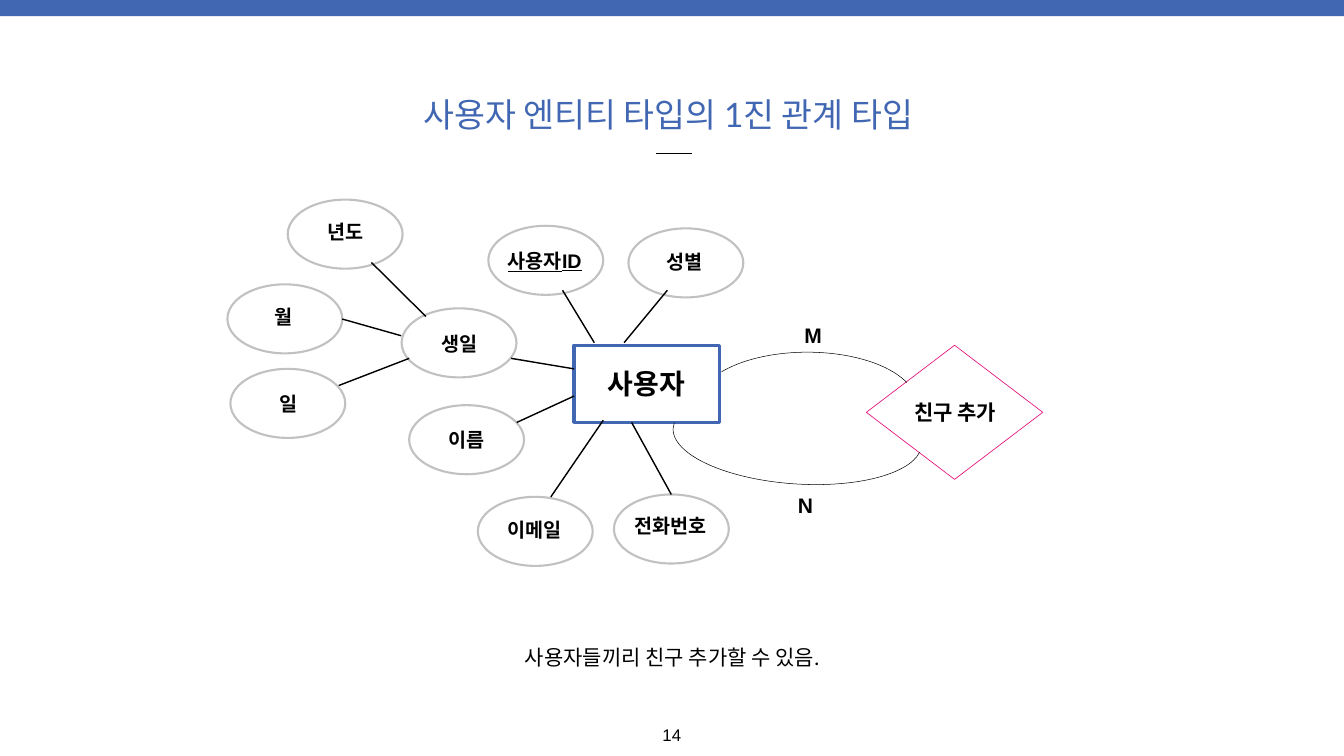
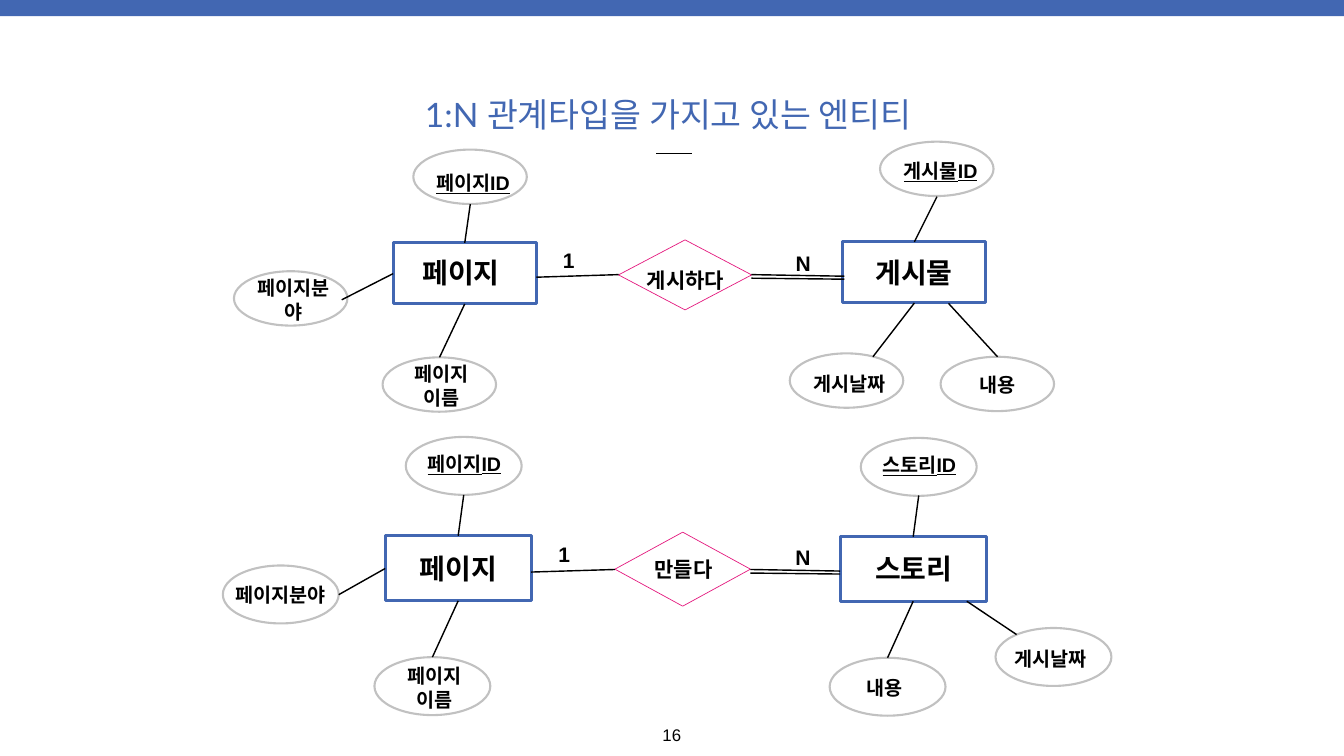
import pptx
import pptx.util
import pptx.dml.color
import pptx.enum.shapes
import pptx.enum.text
from lxml import etree

Cm, Pt = pptx.util.Cm, pptx.util.Pt
RGBColor = pptx.dml.color.RGBColor
SHAPE = pptx.enum.shapes.MSO_SHAPE
STRAIGHT = pptx.enum.shapes.MSO_CONNECTOR.STRAIGHT
ANCHOR = pptx.enum.text.MSO_ANCHOR
FIT = pptx.enum.text.MSO_AUTO_SIZE.SHAPE_TO_FIT_TEXT
CENTER = pptx.enum.text.PP_ALIGN.CENTER

BLUE = RGBColor(0x42, 0x67, 0xB2)
GRAY = RGBColor(0xC1, 0xC1, 0xC1)
PINK = RGBColor(0xE4, 0x17, 0x7D)
BLACK = RGBColor(0, 0, 0)
WHITE = RGBColor(255, 255, 255)
WIDTH, HEIGHT = 67.73, 38.1

# Content, in cm. Attributes and entities: name, left, top, label box.
# Relations: name, box, label box. Links: from x, y, to x, y.
USER = {
    "attribute_size": (5.79, 3.48),
    "attributes": [
        ("사용자ID", 24.61, 11.38, (25.04, 12.4, 4.83, 1.47)),
        ("성별", 31.67, 11.51, (32.82, 12.45, 3.4, 1.47)),
        ("전화번호", 30.94, 24.92, (31.62, 25.78, 4.32, 1.47)),
        ("이메일", 24.08, 25.04, (24.69, 25.98, 4.52, 1.47)),
        ("이름", 20.62, 20.42, (21.82, 21.41, 3.4, 1.47)),
        ("생일", 20.24, 15.54, (21.44, 16.59, 3.4, 1.47)),
        ("일", 11.61, 18.59, (12.83, 19.63, 3.4, 1.47)),
        ("월", 11.46, 14.33, (12.6, 15.21, 3.4, 1.47)),
        ("년도", 14.5, 10.06, (15.72, 10.92, 3.4, 1.47)),
    ],
    "entity_size": (7.32, 3.89),
    "entities": [("사용자", 28.93, 17.4, (29.31, 18.31, 6.55, 2.01))],
    "relation": ("친구 추가", (43.66, 17.4, 8.89, 6.76), (45.57, 19.99, 5.13, 1.57)),
    "links": [
        (33.63, 14.63, 31.45, 17.27), (28.35, 14.63, 29.95, 17.27),
        (25.76, 18.06, 28.93, 18.59), (28.93, 19.96, 26.04, 21.29),
        (30.4, 21.18, 27.76, 25.04), (31.83, 21.29, 33.83, 24.92),
        (21.46, 15.95, 18.72, 13.23), (20.22, 16.92, 17.25, 16.08),
        (20.62, 18.06, 17.07, 19.43),
    ],
    # Box, flip, rotation, start and end adjustments
    "arcs": [
        ((35.2, 17.75, 10.97, 5.16), "flipH", 0, (115.08, 203.94)),
        ((33.91, 19.61, 12.55, 4.78), "flipV", 3.9, (106.47, 213.96)),
    ],
    "cardinalities": [
        ("M", (40.39, 16.08, 1.17, 1.57)),
        ("N", (40.06, 24.69, 1.07, 1.57)),
    ],
}

PAGE_POST = {
    "attribute_size": (5.72, 2.74),
    "attributes": [
        ("내용", 47.4, 17.98, (48.16, 18.82, 4.19, 1.17)),
        ("게시날짜", 39.8, 17.81, (39.85, 18.59, 5.94, 1.5)),
        ("게시물ID", 44.35, 7.14, (44.04, 7.85, 6.73, 1.47)),
        ("페이지 이름", 19.28, 18.01, (19.81, 18.39, 4.85, 2.11)),
        ("페이지ID", 20.83, 7.54, (20.47, 8.48, 6.73, 1.5)),
        ("페이지분야", 11.79, 13.67, (12.4, 13.77, 4.8, 2.69)),
    ],
    "entity_size": (7.21, 3.07),
    "entities": [
        ("게시물", 42.47, 12.19, (42.82, 12.93, 6.48, 1.57)),
        ("페이지", 19.81, 12.24, (19.66, 12.37, 7.14, 2.69)),
    ],
    "relation": ("게시하다", (31.17, 12.09, 6.71, 3.53), (30.94, 13.21, 7.21, 1.78)),
    "links": [
        (47.22, 9.91, 46.08, 12.19), (46.08, 15.27, 43.99, 17.98),
        (47.8, 15.29, 50.27, 17.98), (37.87, 13.84, 42.55, 13.92),
        (31.17, 13.84, 27.03, 13.97), (37.87, 14.02, 42.55, 14.07),
        (23.7, 10.29, 23.42, 12.24), (23.42, 15.32, 22.15, 18.01),
        (17.22, 15.11, 19.81, 13.79),
    ],
    "arcs": [],
    "cardinalities": [
        ("1", (28.22, 12.47, 0.86, 1.24)),
        ("N", (39.95, 12.65, 1.04, 1.24)),
    ],
}

PAGE_STORY = {
    "attribute_size": (5.84, 2.92),
    "attributes": [
        ("페이지 이름", 18.87, 33.12, (19.41, 33.53, 4.93, 2.24)),
        ("페이지ID", 20.45, 22.02, (21.01, 22.76, 4.78, 1.24)),
        ("페이지분야", 11.23, 28.5, (11.23, 29.34, 5.84, 1.24)),
        ("내용", 41.81, 33.15, (42.11, 34.06, 4.93, 1.24)),
        ("스토리ID", 43.38, 22.07, (43.94, 22.81, 4.78, 1.24)),
        ("게시날짜", 50.17, 31.65, (50.5, 32.56, 4.93, 1.24)),
    ],
    "entity_size": (7.37, 3.25),
    "entities": [
        ("페이지", 19.41, 27, (19.79, 27.79, 6.6, 1.68)),
        ("스토리", 42.34, 27.05, (42.75, 27.81, 6.6, 1.68)),
    ],
    "relation": ("만들다", (30.99, 26.82, 6.83, 3.73), (32.33, 28.02, 4.22, 1.32)),
    "links": [
        (37.82, 28.7, 42.34, 28.78), (30.99, 28.7, 26.77, 28.83),
        (37.82, 28.88, 42.34, 28.93), (23.37, 24.94, 23.09, 27),
        (23.09, 30.28, 21.79, 33.12), (17.07, 29.97, 19.41, 28.65),
        (46.3, 24.97, 46.02, 27.05), (48.72, 30.3, 51.23, 31.98),
        (46.02, 30.3, 44.73, 33.15),
    ],
    "arcs": [],
    "cardinalities": [
        ("1", (27.99, 27.25, 0.89, 1.32)),
        ("N", (39.93, 27.43, 1.07, 1.32)),
    ],
}

SLIDES = [
    {"title": "사용자 엔티티 타입의 1진 관계 타입 ", "title_width": 27.41,
     "number": "14", "diagrams": [USER],
     "caption": "사용자들끼리 친구 추가할 수 있음."},
    {"title": "1:N 관계타입을 가지고 있는 엔티티 ", "title_width": 26.87,
     "number": "16", "diagrams": [PAGE_POST, PAGE_STORY], "caption": None},
]


def add_text(s, text, box, size, font="Arial", color=BLACK, bold=False,
             wrap=False, anchor=ANCHOR.MIDDLE):
    tf = s.shapes.add_textbox(*map(Cm, box)).text_frame
    tf.word_wrap = wrap
    tf.auto_size = FIT
    tf.vertical_anchor = anchor
    tf.margin_left = tf.margin_right = tf.margin_top = tf.margin_bottom = Cm(0.15)
    p = tf.paragraphs[0]
    p.alignment = CENTER
    r = p.add_run()
    r.text = text
    r.font.name = font
    r.font.size = Pt(size)
    r.font.color.rgb = color
    r.font.bold = bold
    if text.endswith("ID"):  # key attributes are underlined
        r.font.underline = True


def add_shape(s, kind, box, fill=None, line=None, weight=0):
    sp = s.shapes.add_shape(kind, *map(Cm, box))
    sp.shadow.inherit = False
    if fill is None:
        sp.fill.background()
    else:
        sp.fill.solid()
        sp.fill.fore_color.rgb = fill
    if line is None:
        sp.line.fill.background()
    else:
        sp.line.color.rgb = line
        sp.line.width = Pt(weight)
    return sp


def add_link(s, ends):
    line = s.shapes.add_connector(STRAIGHT, *map(Cm, ends))
    line.line.color.rgb = BLACK
    line.line.width = Pt(2)
    etree.SubElement(line._element.spPr, pptx.oxml.ns.qn("a:effectLst"))


def add_diagram(s, d):
    # Entities and attributes
    for name, x, y, label in d["entities"]:
        add_shape(s, SHAPE.RECTANGLE, (x, y, *d["entity_size"]), WHITE, BLUE, 4.5)
        add_text(s, name, label, 40, bold=True, wrap=True)
    for name, x, y, label in d["attributes"]:
        add_shape(s, SHAPE.OVAL, (x, y, *d["attribute_size"]), WHITE, GRAY, 3)
        add_text(s, name, label, 28, bold=True, wrap=True)

    # Relation and its links
    name, box, label = d["relation"]
    add_shape(s, SHAPE.DIAMOND, box, WHITE, PINK, 1)
    add_text(s, name, label, 30, bold=True, wrap=True)
    for ends in d["links"]:
        add_link(s, ends)
    for box, flip, rotation, angles in d["arcs"]:
        sp = add_shape(s, SHAPE.ARC, box, None, BLACK, 0.75)
        sp.rotation = rotation
        sp._element.spPr.xfrm.set(flip, "1")
        for i, angle in enumerate(angles):
            sp.adjustments[i] = angle
    for text, box in d["cardinalities"]:
        add_text(s, text, box, 30, bold=True)


def add_frame(s, title, title_width, number):
    # Band, title with short rule, page number
    add_shape(s, SHAPE.RECTANGLE, (0, -0.08, WIDTH, 0.89), BLUE)
    add_text(s, title, ((WIDTH - title_width) / 2, 4.6, title_width, 2.34),
             48, "Lato", BLUE)
    add_link(s, (33.07, 7.75, 34.87, 7.75))
    add_text(s, number, (33.22, 36.35, 1.27, 1.27), 24, anchor=ANCHOR.TOP)


def main():
    prs = pptx.Presentation()
    prs.slide_width, prs.slide_height = Cm(WIDTH), Cm(HEIGHT)
    for content in SLIDES:
        s = prs.slides.add_slide(prs.slide_layouts[6])
        add_frame(s, content["title"], content["title_width"], content["number"])
        for d in content["diagrams"]:
            add_diagram(s, d)
        if content["caption"]:
            add_text(s, content["caption"], (25.63, 32.31, 16.48, 1.57), 30, "Lato")
    prs.save("out.pptx")


if __name__ == "__main__":
    main()
